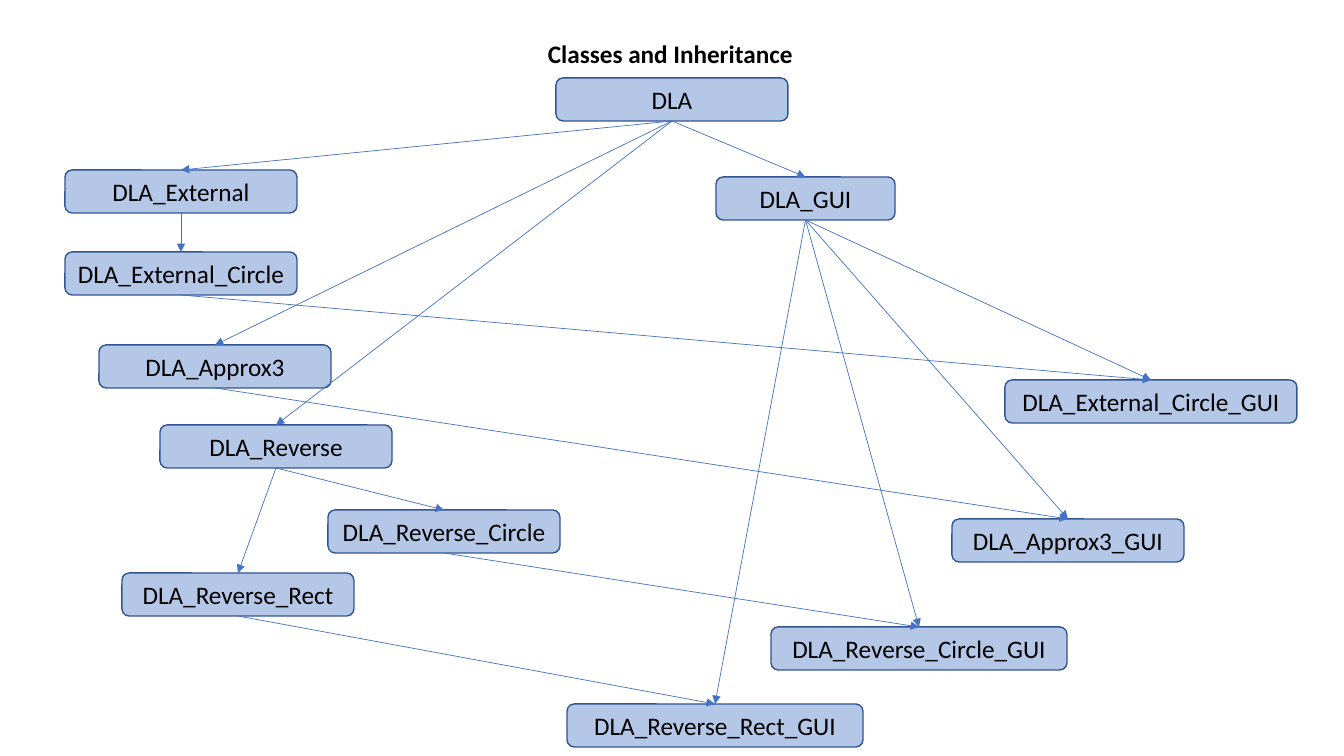
from pptx import Presentation
from pptx.dml.color import RGBColor
from pptx.enum.shapes import MSO_CONNECTOR, MSO_SHAPE
from pptx.enum.text import MSO_ANCHOR, MSO_AUTO_SIZE, PP_ALIGN
from pptx.oxml.ns import qn
from pptx.util import Pt
from lxml.etree import SubElement

SCALE = 914400 / 100.8
FILL = RGBColor(0xB4, 0xC7, 0xE7)
EDGE = RGBColor(0x32, 0x54, 0x91)
ARROW = RGBColor(0x44, 0x72, 0xC4)
BLACK = RGBColor(0, 0, 0)
HIGH, WIDE = 43, 232
TOP, BOTTOM = 0, 2  # connection sites of a box

# Class name: left, top, width
CLASSES = {
    "DLA": (556, 78, WIDE),
    "DLA_GUI": (716, 177, 179),
    "DLA_External": (65, 170, WIDE),
    "DLA_External_Circle": (65, 252, WIDE),
    "DLA_Approx3": (99, 345, WIDE),
    "DLA_External_Circle_GUI": (1005, 380, 292),
    "DLA_Approx3_GUI": (952, 519, WIDE),
    "DLA_Reverse": (160, 425, WIDE),
    "DLA_Reverse_Circle_GUI": (771, 627, 296),
    "DLA_Reverse_Circle": (328, 510, WIDE),
    "DLA_Reverse_Rect": (122, 573, WIDE),
    "DLA_Reverse_Rect_GUI": (567, 704, 296),
}

# Parent class: its children
HEIRS = {
    "DLA": ["DLA_External", "DLA_GUI", "DLA_Approx3", "DLA_Reverse"],
    "DLA_External": ["DLA_External_Circle"],
    "DLA_Reverse": ["DLA_Reverse_Circle", "DLA_Reverse_Rect"],
    "DLA_GUI": ["DLA_External_Circle_GUI", "DLA_Approx3_GUI",
                "DLA_Reverse_Circle_GUI", "DLA_Reverse_Rect_GUI"],
    "DLA_External_Circle": ["DLA_External_Circle_GUI"],
    "DLA_Approx3": ["DLA_Approx3_GUI"],
    "DLA_Reverse_Circle": ["DLA_Reverse_Circle_GUI"],
    "DLA_Reverse_Rect": ["DLA_Reverse_Rect_GUI"],
}


def px(*lengths):
    return [round(n * SCALE) for n in lengths]


def write(shape, text, size=18, bold=False, color=BLACK,
          align=PP_ALIGN.CENTER, anchor=MSO_ANCHOR.MIDDLE, wrap=True):
    frame = shape.text_frame
    frame.word_wrap = wrap
    frame.vertical_anchor = anchor
    para = frame.paragraphs[0]
    para.alignment = align
    run = para.add_run()
    run.text = text
    run.font.name = "Calibri"
    run.font.size = Pt(size)
    run.font.bold = bold
    run.font.color.rgb = color


def add_title(slide, text):
    title = slide.shapes.add_textbox(*px(538, 33, 267, 40))
    write(title, text, bold=True, align=PP_ALIGN.LEFT,
          anchor=MSO_ANCHOR.TOP, wrap=False)
    title.text_frame.auto_size = MSO_AUTO_SIZE.SHAPE_TO_FIT_TEXT


def add_class(slide, name, left, top, width):
    box = slide.shapes.add_shape(MSO_SHAPE.ROUNDED_RECTANGLE,
                                 *px(left, top, width, HIGH))
    box.shadow.inherit = False
    box.fill.solid()
    box.fill.fore_color.rgb = FILL
    box.line.color.rgb = EDGE
    box.line.width = Pt(1)
    write(box, name)
    return box


def add_arrow(slide, parent, child):
    arrow = slide.shapes.add_connector(MSO_CONNECTOR.STRAIGHT, 0, 0, 0, 0)
    arrow.begin_connect(parent, BOTTOM)
    arrow.end_connect(child, TOP)
    arrow.line.color.rgb = ARROW
    arrow.line.width = Pt(0.5)
    # Arrowhead at the child, and no shadow
    SubElement(arrow.line._get_or_add_ln(), qn("a:tailEnd"), type="triangle")
    SubElement(arrow._element.spPr, qn("a:effectLst"))


def main():
    deck = Presentation()
    deck.slide_width, deck.slide_height = px(1344, 756)
    slide = deck.slides.add_slide(deck.slide_layouts[6])

    # Heading
    add_title(slide, "Classes and Inheritance")

    # Class boxes
    boxes = {name: add_class(slide, name, *place)
             for name, place in CLASSES.items()}

    # Inheritance arrows
    for parent, heirs in HEIRS.items():
        for child in heirs:
            add_arrow(slide, boxes[parent], boxes[child])

    deck.save("out.pptx")


main()
